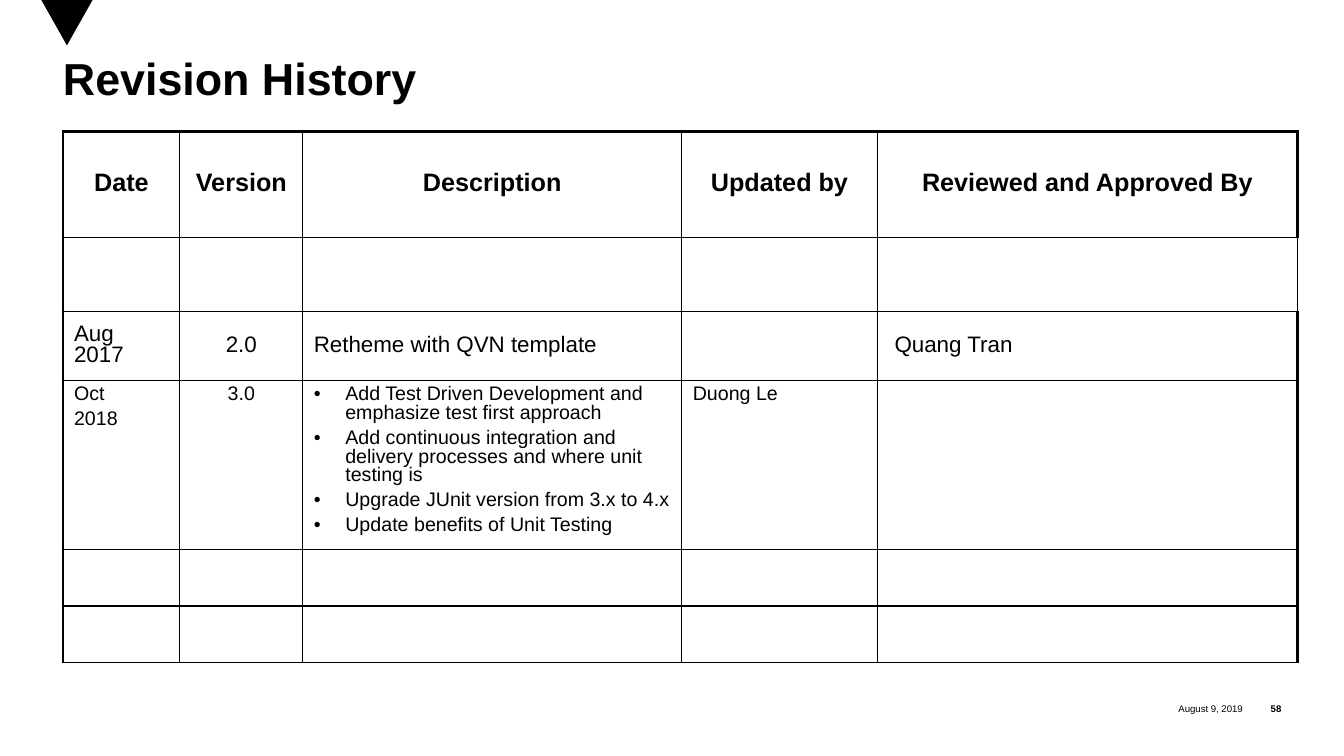
from dataclasses import dataclass

import pptx
import pptx.dml.color
import pptx.enum.text
import pptx.oxml
import pptx.oxml.ns
import pptx.util

Pt = pptx.util.Pt
ALIGN = pptx.enum.text.PP_ALIGN
ANCHOR = pptx.enum.text.MSO_ANCHOR
NS = pptx.oxml.ns.nsdecls("a")


@dataclass(frozen=True)
class Theme:
    font: str = "Arial"
    ink: str = "000000"
    title: float = 32
    heading: float = 18
    entry: float = 16
    detail: float = 14
    footer: float = 6.9
    thin: float = 1
    thick: float = 2.25
    leading: float = 0.85


THEME = Theme()
INK = pptx.dml.color.RGBColor.from_string(THEME.ink)

COLUMN_WIDTHS = [83.5, 87.8, 270.7, 139.7, 300.3]
ROW_HEIGHTS = [75.6, 52.8, 49.7, 56.2, 40.3, 40.3]
HEADINGS = ["Date", "Version", "Description", "Updated by", "Reviewed and Approved By"]
CHANGES = [
    "Add Test Driven Development and emphasize test first approach",
    "Add continuous integration and delivery processes and where unit testing is",
    "Upgrade JUnit version from 3.x to 4.x",
    "Update benefits of Unit Testing",
]
REVISIONS = {
    2: ["Aug 2017", "2.0", "Retheme with QVN template", "", " Quang Tran"],
    3: ["Oct\n2018", "3.0", "\n".join(CHANGES), "Duong Le", ""],
}


def write(frame, text, size, bold=False, align=ALIGN.LEFT, leading=None,
          before=None, bulleted=False):
    """Fill a text frame, one paragraph for each line of text."""
    for index, line in enumerate(text.split("\n")):
        paragraph = frame.add_paragraph() if index else frame.paragraphs[0]
        paragraph.alignment = align
        if leading:
            paragraph.line_spacing = leading
        if before:
            paragraph.space_before = Pt(before)
        run = paragraph.add_run()
        run.text = line
        run.font.name, run.font.size, run.font.bold = THEME.font, Pt(size), bold
        run.font.color.rgb = INK
        if bulleted:
            properties = paragraph._p.get_or_add_pPr()
            properties.set("marL", str(Pt(22.5)))
            properties.set("indent", str(-Pt(22.5)))
            for xml in (f'<a:buFont {NS} typeface="{THEME.font}"/>',
                        f'<a:buChar {NS} char="•"/>'):
                properties.append(pptx.oxml.parse_xml(xml))


def add_text(slide, text, left, top, width, height, anchor=ANCHOR.TOP,
             wrap=True, **text_format):
    box = slide.shapes.add_textbox(Pt(left), Pt(top), Pt(width), Pt(height))
    frame = box.text_frame
    frame.margin_left = frame.margin_right = frame.margin_top = frame.margin_bottom = 0
    frame.word_wrap = wrap
    frame.vertical_anchor = anchor
    write(frame, text, **text_format)


def add_marker(slide):
    builder = slide.shapes.build_freeform(Pt(29.5), 0)
    builder.add_line_segments([(Pt(47.8), Pt(32.4)), (Pt(66.1), 0)], close=True)
    marker = builder.convert_to_shape()
    marker.shadow.inherit = False
    marker.fill.solid()
    marker.fill.fore_color.rgb = INK
    marker.line.fill.background()


def set_borders(cell, **widths):
    for side in "LRTB":
        cell._tc.get_or_add_tcPr().append(pptx.oxml.parse_xml(
            f'<a:ln{side} {NS} w="{Pt(widths.get(side, THEME.thin))}">'
            f'<a:solidFill><a:srgbClr val="{THEME.ink}"/></a:solidFill>'
            f'</a:ln{side}>'))


def cell_format(row, column):
    """Text format that follows from a cell's place in the table."""
    size = {0: THEME.heading, 2: THEME.entry}.get(row, THEME.detail)
    centred = row == 0 or column == 1
    return dict(size=size, bold=row == 0, leading=THEME.leading, before=size * 0.32,
                align=ALIGN.CENTER if centred else ALIGN.LEFT,
                bulleted=(row, column) == (3, 2))


def add_history(slide):
    history = slide.shapes.add_table(
        len(ROW_HEIGHTS), len(COLUMN_WIDTHS), Pt(45), Pt(93.9),
        Pt(sum(COLUMN_WIDTHS)), Pt(sum(ROW_HEIGHTS)))
    table = history.table
    table.first_row = table.horz_banding = False
    for column, width in zip(table.columns, COLUMN_WIDTHS):
        column.width = Pt(width)
    last = len(COLUMN_WIDTHS) - 1
    contents = {0: HEADINGS, **REVISIONS}
    for r, height in enumerate(ROW_HEIGHTS):
        table.rows[r].height = Pt(height)
        for c in range(last + 1):
            cell = table.cell(r, c)
            cell.margin_left = cell.margin_right = Pt(7.9)
            cell.margin_top = cell.margin_bottom = Pt(3.6)
            cell.vertical_anchor = ANCHOR.MIDDLE if r in (0, 2) else ANCHOR.TOP
            # The outer frame is heavy, except beside the empty second row
            heavy = {"L": c == 0, "T": r == 0, "R": c == last and r != 1}
            set_borders(cell, **{side: THEME.thick for side, on in heavy.items() if on})
            cell.fill.background()
            text = contents.get(r, [""] * (last + 1))[c]
            if text:
                write(cell.text_frame, text, **cell_format(r, c))


def main():
    deck = pptx.Presentation()
    deck.slide_width, deck.slide_height = Pt(960), Pt(540)
    slide = deck.slides.add_slide(deck.slide_layouts[6])

    # Corner marker and footer
    add_marker(slide)
    footer = dict(top=497.5, height=18, anchor=ANCHOR.MIDDLE,
                  size=THEME.footer, align=ALIGN.RIGHT)
    add_text(slide, "August 9, 2019", left=780.5, width=107.3, wrap=False, **footer)
    add_text(slide, "58", left=887.8, width=27.4, bold=True, **footer)

    # Title and revision table
    add_text(slide, "Revision History", 45, 41.8, 870, 92.9,
             size=THEME.title, bold=True, leading=THEME.leading)
    add_history(slide)

    deck.save("out.pptx")


if __name__ == "__main__":
    main()
